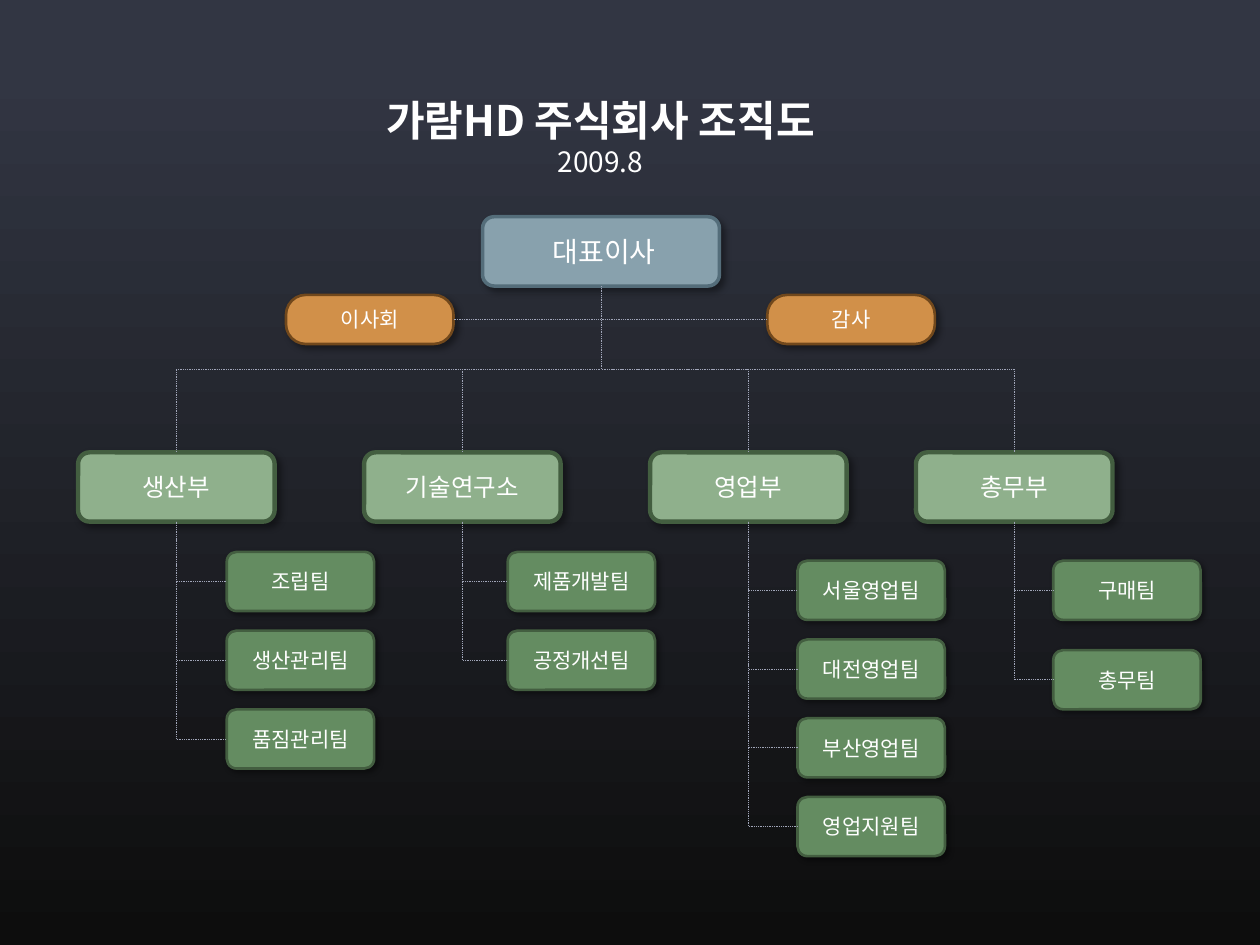
from lxml import etree
from pptx import Presentation
from pptx import util as u
from pptx.dml.color import RGBColor
from pptx.enum import dml, shapes, text
from pptx.oxml.ns import qn

FONT = "Noto Sans CJK KR"
COLORS = {
    "bg_top": "323643", "bg_bottom": "0D0D0D", "text": "FFFFFF", "connector": "A0A5B8",
    "ceo": "88A1AD", "ceo_line": "546D7A", "board": "D19049", "board_line": "71481C",
    "dept": "8FB08C", "team": "648C61", "green_line": "435E40", "shadow": "000000",
}
STYLES = {
    "ceo": dict(w=1.88, h=0.55, line="ceo_line", weight=2, size=16, blur=4, dist=3),
    "board": dict(w=1.33, h=0.39, line="board_line", weight=1.5, size=12, blur=4, dist=3),
    "dept": dict(w=1.56, h=0.55, line="green_line", weight=2.5, size=14, blur=4, dist=3),
    "team": dict(w=1.17, h=0.47, line="green_line", weight=1.5, size=12, blur=3, dist=2),
}
TOP, LEFT, BOTTOM, RIGHT = range(4)


def rgb(name):
    return RGBColor.from_string(COLORS[name])


class Chart:
    def __init__(self, prs):
        self.s = prs.slides.add_slide(prs.slide_layouts[5])

    def background(self):
        fill = self.s.background.fill
        fill.gradient()
        fill.gradient_angle = 270
        for stop, name, position in zip(fill.gradient_stops, ("bg_top", "bg_bottom"), (0.07, 1)):
            stop.color.rgb = rgb(name)
            stop.position = position

    def font(self, p, size, bold=False):
        p.alignment = text.PP_ALIGN.CENTER
        p.font.name = FONT
        p.font.size = u.Pt(size)
        p.font.bold = bold
        p.font.color.rgb = rgb("text")
        r_pr = p.font._element
        etree.SubElement(r_pr, qn("a:ea"), typeface=FONT)

    def title(self, heading, date):
        sp = self.s.shapes.title
        sp.left, sp.top, sp.width, sp.height = map(u.Inches, (2.42, 0.7, 4.69, 0.77))
        tf = sp.text_frame
        tf.auto_size = text.MSO_AUTO_SIZE.NONE
        tf.vertical_anchor = text.MSO_ANCHOR.TOP
        tf.text = f"{heading}\n{date}"
        for p, size, bold in zip(tf.paragraphs, (24, 16), (True, False)):
            p.space_before = u.Pt(0)
            self.font(p, size, bold)

    def effects(self, sp, blur=0, dist=0):
        sp_pr = sp._element.spPr
        for old in sp_pr.findall(qn("a:effectLst")):
            sp_pr.remove(old)
        effects = etree.SubElement(sp_pr, qn("a:effectLst"))
        if blur:
            shadow = etree.SubElement(
                effects, qn("a:outerShdw"), blurRad=str(u.Pt(blur)), dist=str(u.Pt(dist)),
                dir="2700000", algn="tl", rotWithShape="0")
            color = etree.SubElement(shadow, qn("a:srgbClr"), val=COLORS["shadow"])
            etree.SubElement(color, qn("a:alpha"), val="40000")

    def box(self, kind, label, left, top):
        style = STYLES[kind]
        sp = self.s.shapes.add_shape(
            shapes.MSO_SHAPE.ROUNDED_RECTANGLE,
            *map(u.Inches, (left, top, style["w"], style["h"])))
        if kind == "board":
            sp.adjustments[0] = 0.405
        sp.fill.solid()
        sp.fill.fore_color.rgb = rgb(kind)
        sp.line.color.rgb = rgb(style["line"])
        sp.line.width = u.Pt(style["weight"])
        self.effects(sp, style["blur"], style["dist"])
        tf = sp.text_frame
        tf.vertical_anchor = text.MSO_ANCHOR.MIDDLE
        tf.margin_left = tf.margin_right = u.Inches(0.05)
        tf.text = label
        self.font(tf.paragraphs[0], style["size"])
        return sp

    def elbow(self, parent, child, site):
        x1, y1 = parent.left + parent.width // 2, parent.top + parent.height
        x2, y2 = {
            TOP: (child.left + child.width // 2, child.top),
            LEFT: (child.left, child.top + child.height // 2),
            RIGHT: (child.left + child.width, child.top + child.height // 2),
        }[site]
        c = self.s.shapes.add_connector(shapes.MSO_CONNECTOR.ELBOW, x1, y1, x2, y2)
        c.begin_connect(parent, BOTTOM)
        c.end_connect(child, site)
        c.width, c.height = y2 - y1, abs(x2 - x1)
        c.left, c.top = (x1 + x2 - c.width) // 2, (y1 + y2 - c.height) // 2
        to_right = x2 > x1
        xfrm = c._element.spPr.find(qn("a:xfrm"))
        xfrm.set("rot", "16200000" if to_right else "5400000")
        xfrm.set("flipH", "1" if to_right else "0")
        xfrm.set("flipV", "0")
        if site != TOP:
            c._element.spPr.find(qn("a:prstGeom")).set("prst", "bentConnector2")
        c.line.color.rgb = rgb("connector")
        c.line.width = u.Pt(0.5)
        c.line.dash_style = dml.MSO_LINE.ROUND_DOT
        self.effects(c)


DEPARTMENTS = [
    ("생산부", 0.62, 1.8, 4.38, 0.625, ["조립팀", "생산관리팀", "품짐관리팀"]),
    ("기술연구소", 2.89, 4.03, 4.38, 0.625, ["제품개발팀", "공정개선팀"]),
    ("영업부", 5.16, 6.33, 4.45, 0.625, ["서울영업팀", "대전영업팀", "부산영업팀", "영업지원팀"]),
    ("총무부", 7.27, 8.36, 4.45, 0.71, ["구매팀", "총무팀"]),
]

prs = Presentation()
prs.slide_width, prs.slide_height = u.Inches(10), u.Inches(7.5)
chart = Chart(prs)
chart.background()
chart.title("가람HD 주식회사 조직도", "2009.8")

ceo = chart.box("ceo", " 대표이사", 3.83, 1.72)
for label, left, site in (("이사회", 2.27, RIGHT), ("감사", 6.09, LEFT)):
    chart.elbow(ceo, chart.box("board", label, left, 2.34), site)

for name, left, team_left, team_top, step, teams in DEPARTMENTS:
    dept = chart.box("dept", name, left, 3.59)
    chart.elbow(ceo, dept, TOP)
    for i, team in enumerate(teams):
        chart.elbow(dept, chart.box("team", team, team_left, team_top + i * step), LEFT)

prs.save("out.pptx")
